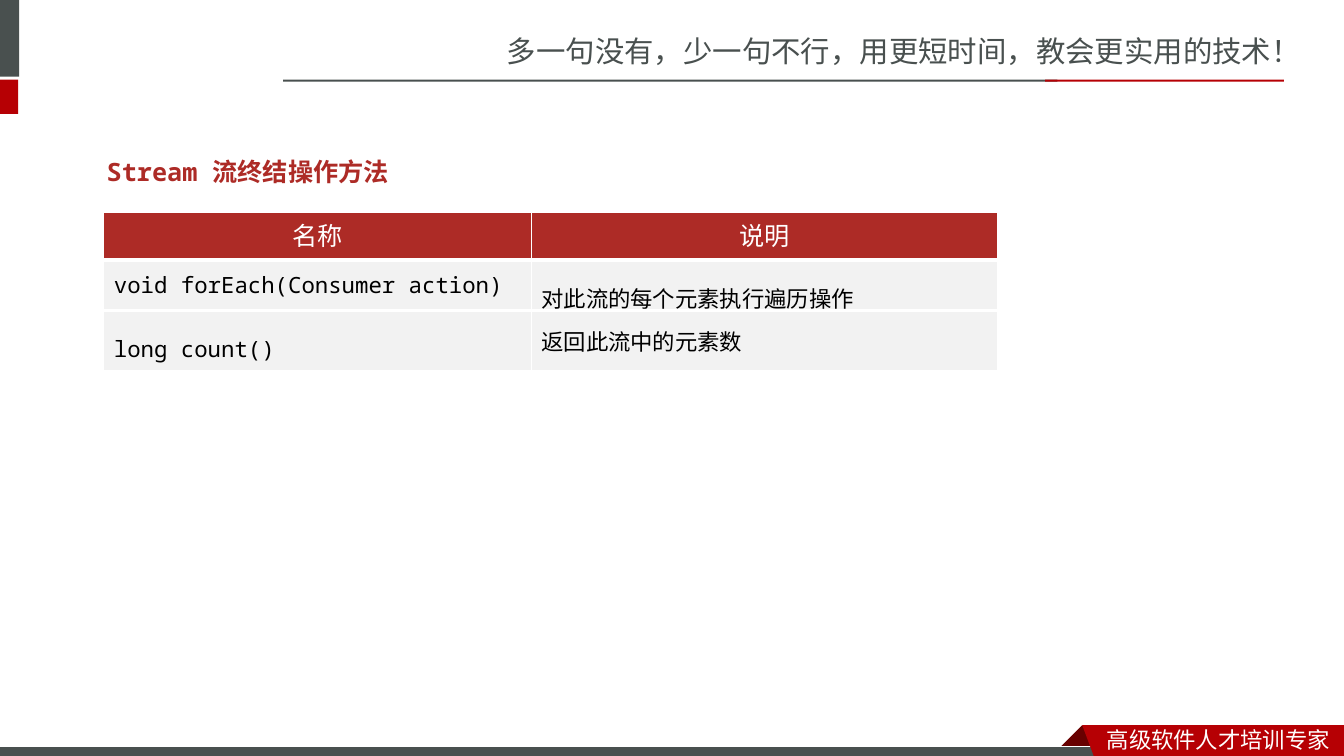
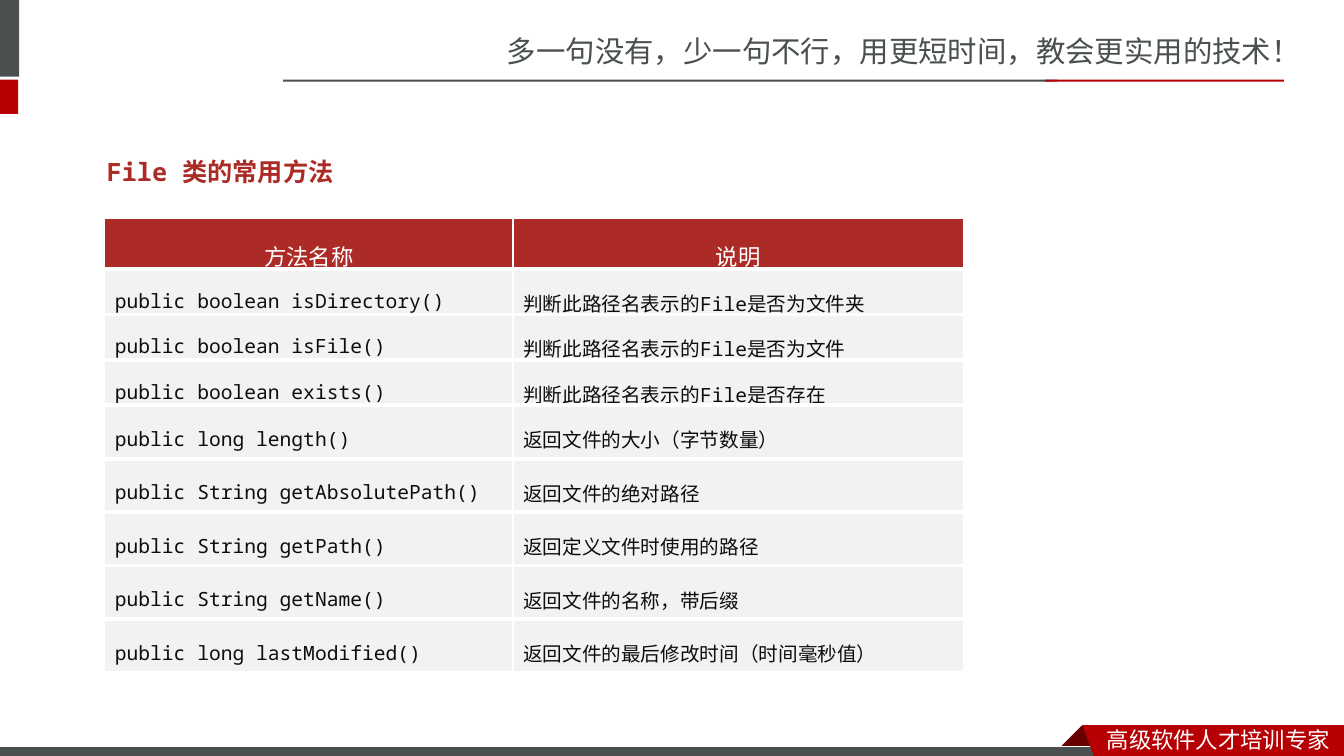
import pptx
import pptx.dml.color
import pptx.enum.shapes
import pptx.enum.text
import pptx.oxml
import pptx.oxml.ns
import pptx.util

Pt = pptx.util.Pt
ALIGN = pptx.enum.text.PP_ALIGN

COLORS = {
    "grey": "49504F",
    "red": "B60004",
    "fold": "680000",
    "brick": "AD2B26",
    "cell": "F2F2F2",
    "white": "FFFFFF",
    "black": "000000",
    "ink": "0D0D0D",
}
SANS, MONO, LATIN = "Noto Sans CJK SC", "Noto Sans Mono", "Calibri"

SLOGAN = ("多一句没有，少一句不行，用更短时间，教会更实用的技术！", (355, 20.2, 605.5, 33.8), 21, "grey")
TAGLINE = ("高级软件人才培训专家", (783.4, 514.8, 176.4, 26.6), 16, "white")
TITLE_BOX = (69.1, 86.4, 368.6, 45.4)

BANDS = [
    ((-4.3, 0, 18, 54.7), "grey"),
    ((-4.3, 56.9, 17.3, 24.5), "red"),
    ((202.3, 56.9, 553, 1.44), "grey"),
    ((746.6, 56.9, 170.6, 1.44), "red"),
]
FOOTER_BAR = (-0.7, 533.5, 792, 8.6)
RIBBON_FOLD = [(772.6, 518.4), (788.4, 534.2), (787.7, 535), (757.4, 535), (756.7, 534.2)]
RIBBON = [(772.6, 518.4), (960, 518.4), (960, 542.9), (781.9, 542.2)]

HEADER_SANS = {"size": 18, "font": LATIN, "color": "white", "line_spacing": Pt(24), "alignment": ALIGN.CENTER}
HEADER_MONO = {"size": 16, "font": MONO, "color": "white", "line_spacing": 1.5, "alignment": ALIGN.CENTER}
CODE = {"size": 16, "font": MONO, "color": "black"}
NOTE = {"size": 16, "font": SANS, "color": "black"}
METHOD = {"size": 14, "font": MONO, "color": "ink", "line_spacing": 1.5}

SLIDES = [
    {
        "title": "Stream 流终结操作方法",
        "origin": (74.2, 151.9),
        "columns": [305.3, 333.4],
        "heights": [33.8, 36, 43.9],
        "rows": [("名称", "说明"),
                 ("void forEach(Consumer action)", "对此流的每个元素执行遍历操作"),
                 ("long count()", "返回此流中的元素数")],
        "formats": [(HEADER_SANS, HEADER_SANS),
                    (CODE | {"space_before": Pt(3.2)}, NOTE | {"line_spacing": 1.5, "space_before": Pt(3.2)}),
                    (CODE | {"line_spacing": 1.5}, NOTE)],
    },
    {
        "title": "File 类的常用方法",
        "origin": (74.9, 156.2),
        "columns": [291.6, 321.8],
        "heights": [29.5, 26.6, 32.4, 31.7] + [38.2] * 5,
        "rows": [("方法名称", "说明"),
                 ("public boolean isDirectory()", "判断此路径名表示的File是否为文件夹"),
                 ("public boolean isFile()", "判断此路径名表示的File是否为文件"),
                 ("public boolean exists()", "判断此路径名表示的File是否存在"),
                 ("public long length()", "返回文件的大小（字节数量）"),
                 ("public String getAbsolutePath()", "返回文件的绝对路径"),
                 ("public String getPath()", "返回定义文件时使用的路径"),
                 ("public String getName()", "返回文件的名称，带后缀"),
                 ("public long lastModified()", "返回文件的最后修改时间（时间毫秒值）")],
        "formats": [(HEADER_MONO, HEADER_MONO)] + [(METHOD, METHOD)] * 8,
    },
]


def rgb(name):
    return pptx.dml.color.RGBColor.from_string(COLORS[name])


def points(values):
    return [Pt(value) for value in values]


def paint(shape, fill, line=None):
    shape.shadow.inherit = False
    shape.fill.solid()
    shape.fill.fore_color.rgb = rgb(fill)
    if line:
        shape.line.color.rgb = rgb(line)
        shape.line.width = Pt(0.75)
    else:
        shape.line.fill.background()


def add_band(slide, box, fill, line=None):
    band = slide.shapes.add_shape(pptx.enum.shapes.MSO_SHAPE.RECTANGLE, *points(box))
    paint(band, fill, line)


def add_outline(slide, corners, fill):
    builder = slide.shapes.build_freeform(*corners[0], scale=Pt(1))
    builder.add_line_segments(corners[1:], close=True)
    paint(builder.convert_to_shape(), fill)


def write(text_frame, text, size, font, color, bold=False, **paragraph_format):
    paragraph = text_frame.paragraphs[0]
    for name, value in paragraph_format.items():
        setattr(paragraph, name, value)
    run = paragraph.add_run()
    run.text = text
    for name, value in {"size": Pt(size), "name": font, "bold": bold}.items():
        setattr(run.font, name, value)
    run.font.color.rgb = rgb(color)
    east_asian = pptx.oxml.parse_xml(f'<a:ea {pptx.oxml.ns.nsdecls("a")} typeface="{SANS}"/>')
    run.font._element.find(pptx.oxml.ns.qn("a:latin")).addnext(east_asian)


def add_text(slide, text, box, size, color, font=SANS, **text_format):
    text_frame = slide.shapes.add_textbox(*points(box)).text_frame
    text_frame.word_wrap = True
    write(text_frame, text, size, font, color, **text_format)


def add_borders(cell, widths):
    properties = cell._tc.get_or_add_tcPr()
    for side, width in widths.items():
        properties.append(pptx.oxml.parse_xml(
            f'<a:ln{side} {pptx.oxml.ns.nsdecls("a")} w="{Pt(width)}"><a:solidFill>'
            f'<a:srgbClr val="{COLORS["white"]}"/></a:solidFill></a:ln{side}>'))


def add_method_table(slide, content):
    columns, heights, rows = content["columns"], content["heights"], content["rows"]
    box = (*content["origin"], sum(columns), sum(heights))
    table = slide.shapes.add_table(len(rows), len(columns), *points(box)).table
    table.horz_banding = False
    for column, width in zip(table.columns, columns):
        column.width = Pt(width)
    for index, (texts, formats) in enumerate(zip(rows, content["formats"])):
        table.rows[index].height = Pt(heights[index])
        is_header = index == 0
        for cell, text, text_format in zip(table.rows[index].cells, texts, formats):
            add_borders(cell, {"L": 1, "R": 1, "T": 1 if is_header else 3, "B": 3})
            cell.fill.solid()
            cell.fill.fore_color.rgb = rgb("brick" if is_header else "cell")
            cell.vertical_anchor = pptx.enum.text.MSO_ANCHOR.MIDDLE
            write(cell.text_frame, text, **text_format)


def add_frame(slide):
    add_text(slide, *SLOGAN)
    for box, fill in BANDS:
        add_band(slide, box, fill)
    add_outline(slide, RIBBON_FOLD, "fold")
    add_band(slide, FOOTER_BAR, "grey", "white")
    add_outline(slide, RIBBON, "red")
    add_text(slide, *TAGLINE)


def main():
    presentation = pptx.Presentation()
    presentation.slide_width, presentation.slide_height = Pt(960), Pt(540)
    for content in SLIDES:
        slide = presentation.slides.add_slide(presentation.slide_layouts[6])
        add_frame(slide)
        add_text(slide, content["title"], TITLE_BOX, 18, "brick", font=MONO, bold=True, line_spacing=2.0)
        add_method_table(slide, content)
    presentation.save("out.pptx")


if __name__ == "__main__":
    main()
